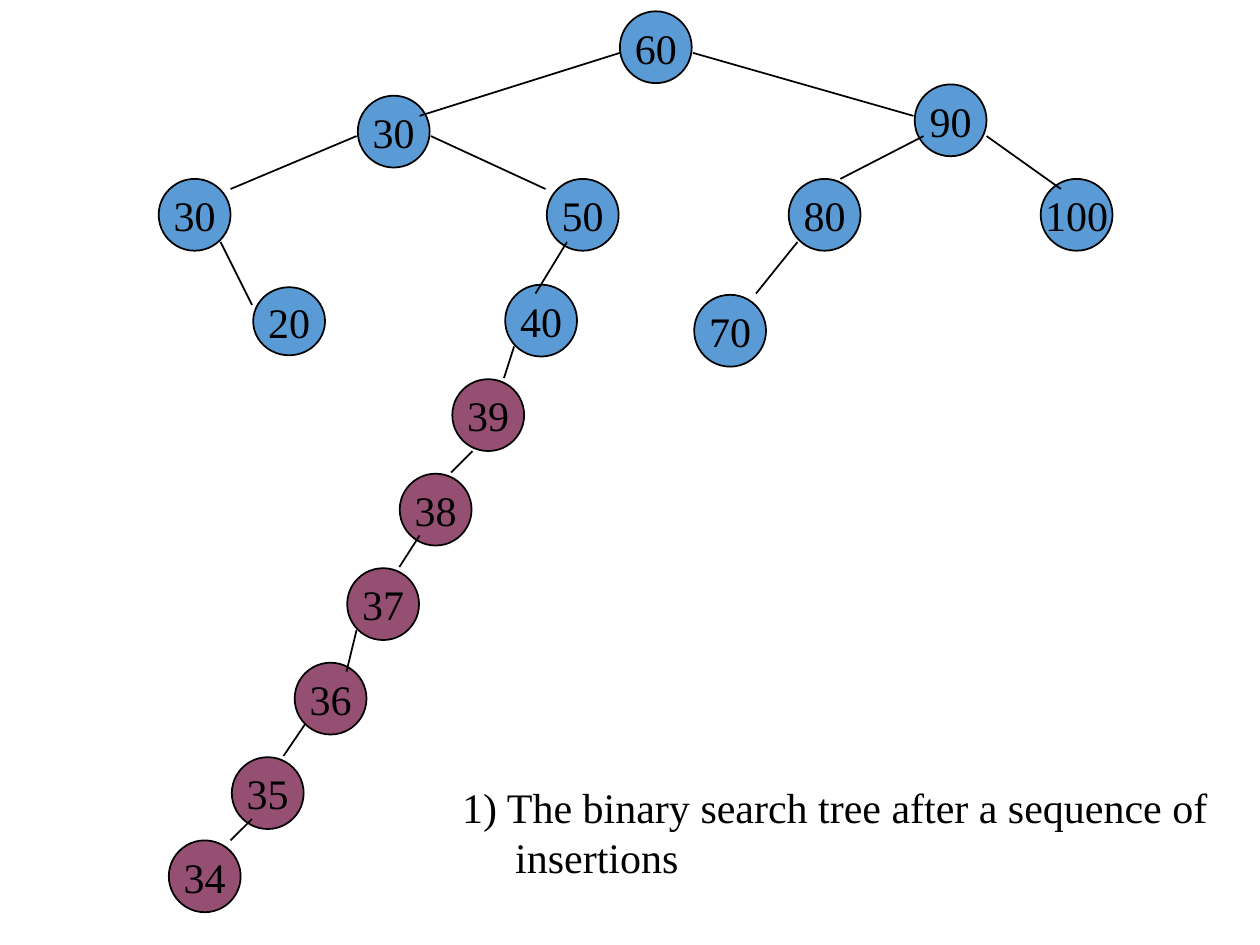
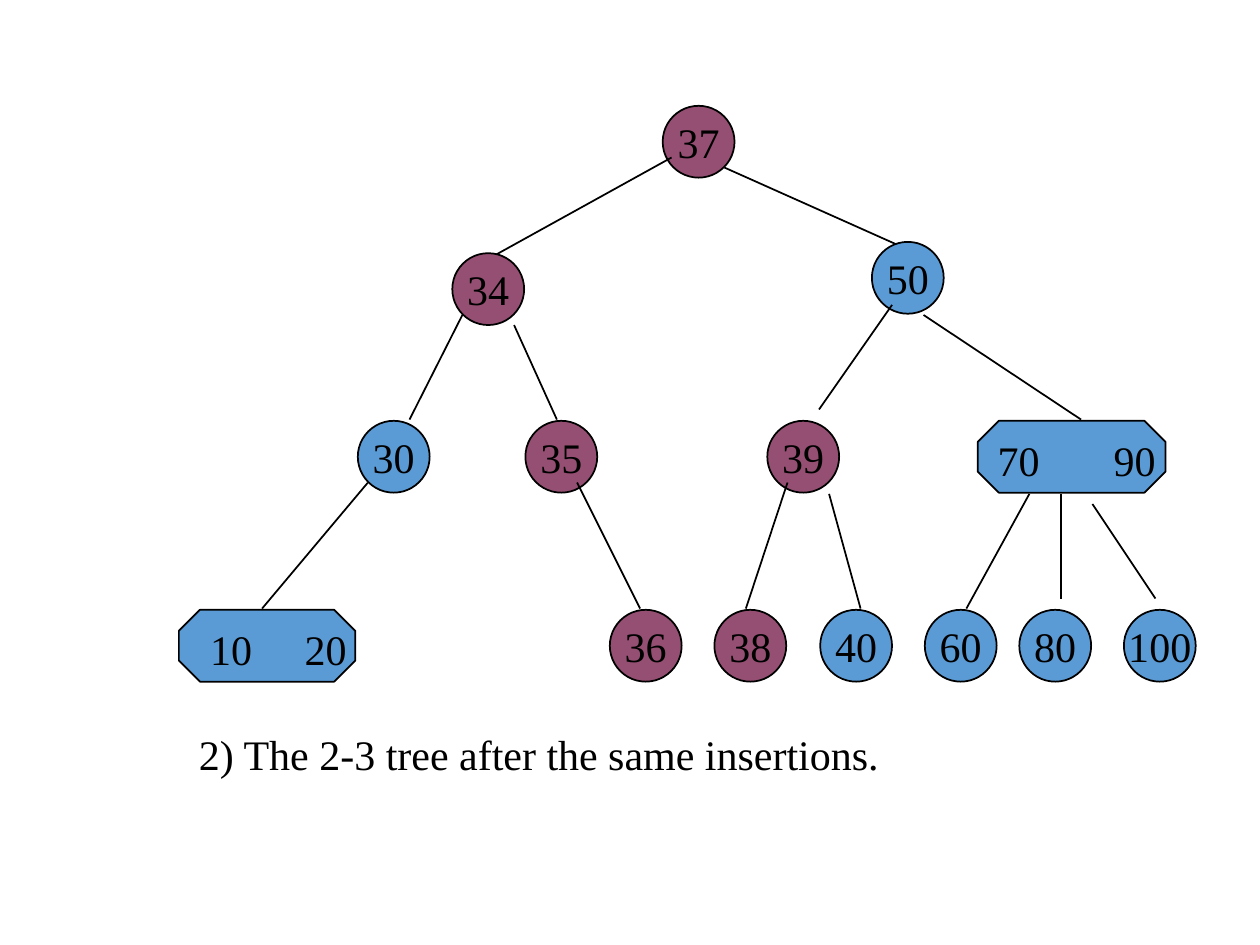
import pptx
import pptx.util
import pptx.dml.color
import pptx.enum.shapes
import pptx.enum.text
import pptx.oxml.ns
import lxml.etree
from dataclasses import dataclass

Inches = pptx.util.Inches
RGB = pptx.dml.color.RGBColor
SHAPES = pptx.enum.shapes.MSO_SHAPE
qn = pptx.oxml.ns.qn


@dataclass(frozen=True)
class Theme:
    ink: RGB = RGB(0x00, 0x00, 0x00)
    first_keys: RGB = RGB(0x5B, 0x9B, 0xD5)
    later_keys: RGB = RGB(0x95, 0x4F, 0x72)
    font: str = "Times New Roman"
    size: pptx.util.Pt = pptx.util.Pt(24)
    line: pptx.util.Pt = pptx.util.Pt(1)
    circle: float = 0.57


theme = Theme()
LATER = range(34, 40)  # keys inserted last


def add_line_of_text(paragraph, words):
    run = paragraph.add_run()
    run.text = words
    run.font.name = theme.font
    run.font.size = theme.size
    run.font.color.rgb = theme.ink


def add_node(slide, outline, x, y, width, height, color):
    node = slide.shapes.add_shape(
        outline, Inches(x), Inches(y), Inches(width), Inches(height))
    node.shadow.inherit = False
    node.fill.solid()
    node.fill.fore_color.rgb = color
    node.line.color.rgb = theme.ink
    node.line.width = theme.line
    return node


# Binary search tree: nodes are (key, left, top), edges (x1, y1, x2, y2)
search_nodes = [
    (60, 4.92, 0.09), (30, 2.84, 0.76), (90, 7.26, 0.67),
    (30, 1.26, 1.42), (50, 4.34, 1.42), (80, 6.26, 1.42), (100, 8.26, 1.42),
    (40, 4.01, 2.26), (20, 2.01, 2.28), (70, 5.51, 2.34),
    (35, 1.84, 6.01), (34, 1.34, 6.67),
]
search_nodes += [(39 - i, 3.59 - 0.417 * i, 3.01 + 0.75 * i) for i in range(4)]
search_edges = [
    (4.92, 0.42, 3.33, 0.92), (5.5, 0.42, 7.25, 0.92),
    (2.83, 1.08, 1.83, 1.5), (3.42, 1.08, 4.33, 1.5),
    (7.33, 1.08, 6.67, 1.42), (7.83, 1.08, 8.42, 1.5),
    (1.75, 1.92, 2, 2.42), (4.5, 1.92, 4.25, 2.33), (6.33, 1.92, 6, 2.33),
    (4.08, 2.75, 4, 3), (3.75, 3.58, 3.58, 3.75), (3.33, 4.25, 3.17, 4.5),
    (2.83, 5, 2.75, 5.33), (2.42, 5.75, 2.25, 6), (2, 6.5, 1.83, 6.67),
]

# 2-3 tree: the root's edges run behind its children
root_nodes = [(37, 5.26, 0.84)]
root_edges = [(5.33, 1.25, 3.83, 2.08), (5.75, 1.33, 7.25, 2)]
lower_nodes = [(34, 3.59, 2.01), (50, 6.92, 1.92)]
lower_nodes += [(key, x, 3.34) for key, x in ((30, 2.84), (35, 4.17), (39, 6.09))]
lower_nodes += [(key, x, 4.84) for key, x in (
    (36, 4.84), (38, 5.67), (40, 6.51), (60, 7.34), (80, 8.09), (100, 8.92))]
lower_edges = [
    (3.67, 2.5, 3.25, 3.33), (4.08, 2.58, 4.42, 3.33),
    (7.08, 2.42, 6.5, 3.25), (7.33, 2.5, 8.58, 3.33),
    (2.92, 3.83, 2.08, 4.83), (4.58, 3.83, 5.08, 4.83),
    (6.25, 3.83, 5.92, 4.83), (6.58, 3.92, 6.83, 4.83),
    (8.17, 3.92, 7.67, 4.83), (8.42, 3.92, 8.42, 4.75), (8.67, 4, 9.17, 4.75),
]
# Two-key nodes: keys, left, top, width, text left, text width, second key's tab
pair_nodes = [
    ((10, 20), 1.42, 4.84, 1.4, 1.57, 1.29, 0.75),
    ((70, 90), 7.76, 3.34, 1.49, 7.82, 1.45, 0.92),
]

# Each tree: stages of nodes and edges from back to front, pairs, caption
trees = [
    ([(search_nodes, search_edges)], [],
     ["1) The binary search tree after a sequence of", "insertions"],
     (3.57, 6.15, 6.21, 0.9)),
    ([(root_nodes, root_edges), (lower_nodes, lower_edges)], pair_nodes,
     ["2) The 2-3 tree after the same insertions."],
     (1.48, 5.73, 5.61, 0.5)),
]

deck = pptx.Presentation()
deck.slide_width, deck.slide_height = Inches(10), Inches(7.5)

for stages, pairs, caption_lines, caption_place in trees:
    slide = deck.slides.add_slide(deck.slide_layouts[6])

    # Two-key nodes
    for keys, x, y, width, text_x, text_width, tab in pairs:
        octagon = add_node(slide, SHAPES.OCTAGON, x, y, width, theme.circle,
                           theme.first_keys)
        octagon.adjustments[0] = 0.293
        key_text = slide.shapes.add_textbox(
            Inches(text_x), Inches(y + 0.06), Inches(text_width), Inches(0.5))
        key_text.text_frame.word_wrap = False
        key_line = key_text.text_frame.paragraphs[0]
        add_line_of_text(key_line, "\t".join(map(str, keys)))
        stops = lxml.etree.SubElement(key_line._p.get_or_add_pPr(), qn("a:tabLst"))
        lxml.etree.SubElement(stops, qn("a:tab"), pos=str(Inches(tab)), algn="l")

    for nodes, edges in stages:
        # One-key nodes
        for key, x, y in nodes:
            height = 0.54 if key == 20 else theme.circle
            color = theme.later_keys if key in LATER else theme.first_keys
            circle = add_node(slide, SHAPES.OVAL, x, y, theme.circle, height, color)
            frame = circle.text_frame
            frame.word_wrap = False
            frame.vertical_anchor = pptx.enum.text.MSO_ANCHOR.MIDDLE
            frame.paragraphs[0].alignment = pptx.enum.text.PP_ALIGN.CENTER
            add_line_of_text(frame.paragraphs[0], str(key))

        # Edges
        for ends in edges:
            edge = slide.shapes.add_connector(
                pptx.enum.shapes.MSO_CONNECTOR.STRAIGHT, *map(Inches, ends))
            edge.line.color.rgb = theme.ink
            edge.line.width = theme.line
            lxml.etree.SubElement(edge._element.spPr, qn("a:effectLst"))

    # Caption, with its second line indented
    caption = slide.shapes.add_textbox(*map(Inches, caption_place)).text_frame
    caption.word_wrap = False
    for number, words in enumerate(caption_lines):
        paragraph = caption.add_paragraph() if number else caption.paragraphs[0]
        add_line_of_text(paragraph, words)
        if number:
            paragraph._p.get_or_add_pPr().set("marL", str(Inches(0.42)))

deck.save("out.pptx")
